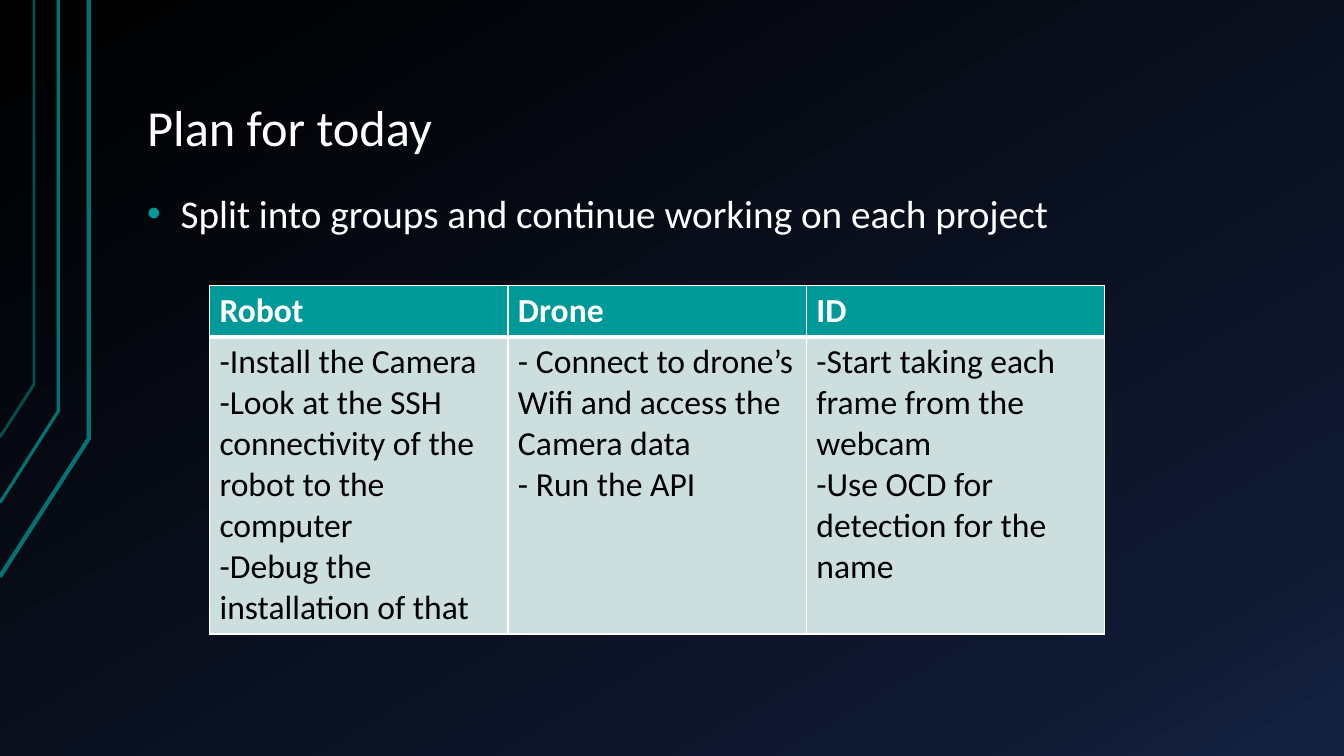
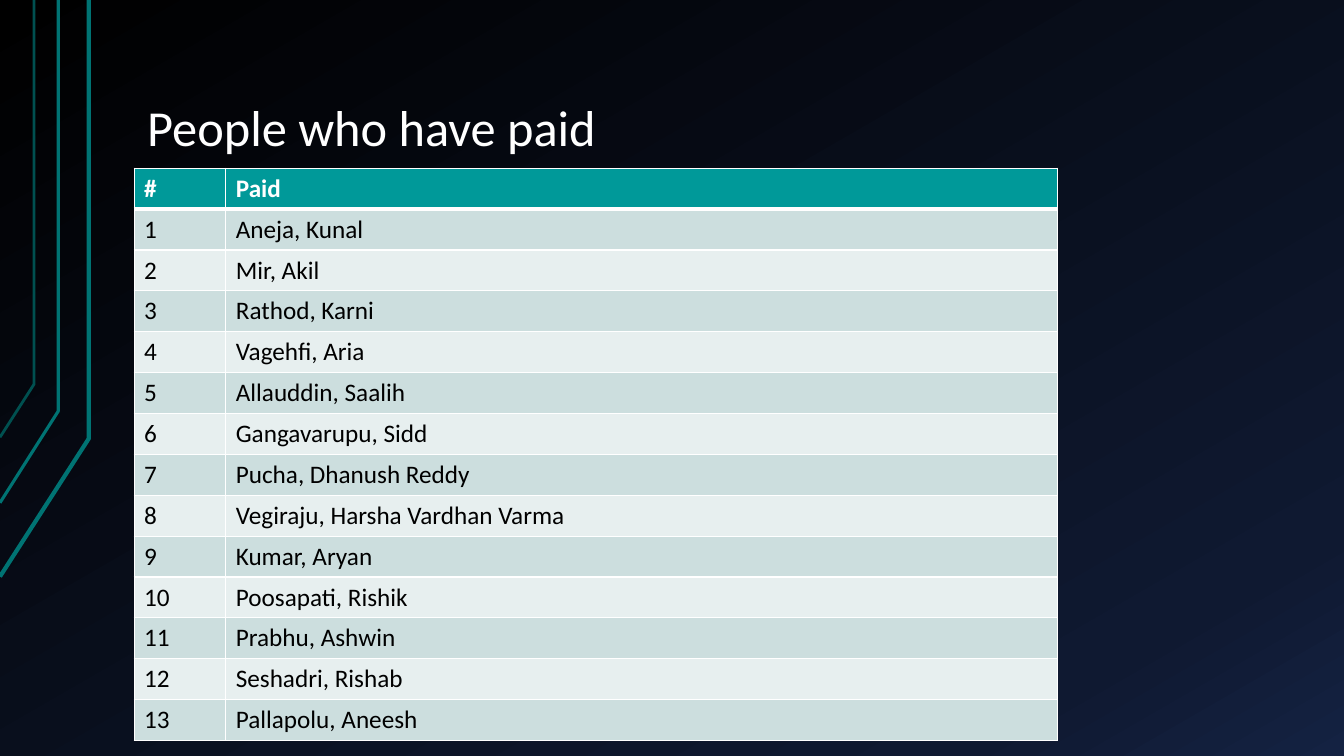
"""Build the club meeting slides: the plan for today and the paid list."""
from dataclasses import dataclass

from pptx import Presentation
from pptx.dml.color import RGBColor
from pptx.enum.text import MSO_ANCHOR, MSO_AUTO_SIZE, PP_ALIGN
from pptx.oxml import parse_xml
from pptx.oxml.ns import nsdecls, qn
from pptx.presentation import Presentation as Deck
from pptx.slide import Slide
from pptx.table import _Cell as Cell
from pptx.text.text import TextFrame
from pptx.util import Cm, Pt

BOTTOM, TOP = MSO_ANCHOR.BOTTOM, MSO_ANCHOR.TOP
NO_FIT = MSO_AUTO_SIZE.NONE
LEFT = PP_ALIGN.LEFT

WHITE = RGBColor(0xFF, 0xFF, 0xFF)
BLACK = RGBColor(0x00, 0x00, 0x00)
NAVY = RGBColor(0x0F, 0x19, 0x31)
BLUE = RGBColor(0x14, 0x22, 0x42)
TEAL = RGBColor(0x00, 0x99, 0x99)
DEEP = RGBColor(0x00, 0x73, 0x73)
DIM = RGBColor(0x00, 0x50, 0x50)
BANDS = (RGBColor(0xCC, 0xDE, 0xDE), RGBColor(0xE7, 0xEF, 0xEF))

FONT = "Calibri"
STOPS = ((0, BLACK), (85, NAVY), (100, BLUE))
ANGLE = 60


@dataclass(frozen=True)
class Stripe:
    """A bent line at the left edge, with lengths in centimetres."""
    x: float
    bend: float
    end: float
    width: float
    color: RGBColor


@dataclass(frozen=True)
class Grid:
    """A table with its place and column widths in centimetres."""
    left: float
    top: float
    cols: tuple[float, ...]
    heights: tuple[float, ...]
    size: int
    rows: list[tuple[str, ...]]


STRIPES = (
    Stripe(2.24, 11.05, 14.53, 3, DEEP),
    Stripe(1.47, 10.36, 12.67, 2.25, DEEP),
    Stripe(0.86, 9.68, 11.02, 2, DIM),
)

PLAN = Grid(5.28, 7.19, (7.52,) * 3, (1.3, 7.35), 24, [
    ("Robot", "Drone", "ID"),
    (
        "-Install the Camera\n"
        "-Look at the SSH connectivity of the robot to the computer\n"
        "-Debug the installation of that",
        "- Connect to drone’s Wifi and access the Camera data\n"
        "- Run the API",
        "-Start taking each frame from the webcam\n"
        "-Use OCD for detection for the name",
    ),
])

NAMES = (
    "Aneja, Kunal",
    "Mir, Akil",
    "Rathod, Karni",
    "Vagehfi, Aria",
    "Allauddin, Saalih",
    "Gangavarupu, Sidd",
    "Pucha, Dhanush Reddy",
    "Vegiraju, Harsha Vardhan Varma",
    "Kumar, Aryan",
    "Poosapati, Rishik",
    "Prabhu, Ashwin",
    "Seshadri, Rishab",
    "Pallapolu, Aneesh",
)
PAID = Grid(
    3.38, 4.24, (2.31, 20.96), (1.03,) * (len(NAMES) + 1), 18,
    [("#", "Paid")] + [(str(i), name) for i, name in enumerate(NAMES, 1)],
)


def paint(deck: Deck) -> None:
    """Give the slide master its dark gradient."""
    master = deck.slide_master
    master.background.fill.gradient()
    old = next(master.element.iter(qn("a:gradFill")))
    stops = "".join(
        f'<a:gs pos="{pos * 1000}"><a:srgbClr val="{color}"/></a:gs>'
        for pos, color in STOPS
    )
    new = parse_xml(
        f'<a:gradFill {nsdecls("a")} rotWithShape="1"><a:gsLst>{stops}</a:gsLst>'
        f'<a:lin ang="{ANGLE * 60000}" scaled="0"/></a:gradFill>'
    )
    old.getparent().replace(old, new)


def style(frame: TextFrame, size: int, color: RGBColor, bold: bool = False) -> None:
    """Format every run of a text frame."""
    for para in frame.paragraphs:
        para.alignment = LEFT
        for run in para.runs:
            run.font.name = FONT
            run.font.size = Pt(size)
            run.font.bold = bold
            run.font.color.rgb = color


def fit(frame: TextFrame, anchor: MSO_ANCHOR) -> None:
    """Set the wrap, insets, anchor and line spacing of a text frame."""
    frame.word_wrap = True
    frame.auto_size = NO_FIT
    frame.vertical_anchor = anchor
    frame.margin_left = frame.margin_right = Cm(0.33)
    frame.margin_top = frame.margin_bottom = Cm(0.18)
    for para in frame.paragraphs:
        para.line_spacing = 0.9


def add_stripe(slide: Slide, stripe: Stripe) -> None:
    """Draw one bent line."""
    pen = slide.shapes.build_freeform(Cm(0), Cm(stripe.end))
    x = Cm(stripe.x)
    pen.add_line_segments([(x, Cm(stripe.bend)), (x, Cm(0))], close=False)
    shape = pen.convert_to_shape()
    shape.shadow.inherit = False
    shape.fill.background()
    shape.line.color.rgb = stripe.color
    shape.line.width = Pt(stripe.width)


def add_page(deck: Deck, text: str) -> Slide:
    """Add a slide with its stripes and title."""
    slide = deck.slides.add_slide(deck.slide_layouts.get_by_name("Title Only"))
    for stripe in STRIPES:
        add_stripe(slide, stripe)
    title = slide.shapes.title
    title.left, title.top = Cm(3.38), Cm(0.76)
    title.width, title.height = Cm(28.78), Cm(3.4)
    title.text_frame.text = text
    fit(title.text_frame, BOTTOM)
    style(title.text_frame, 36, WHITE)
    return slide


def add_point(slide: Slide, text: str) -> None:
    """Add the bullet line below the title."""
    box = slide.shapes.add_textbox(Cm(3.38), Cm(4.72), Cm(28.78), Cm(12.4))
    frame = box.text_frame
    frame.text = text
    fit(frame, TOP)
    style(frame, 28, WHITE)
    props = frame.paragraphs[0]._p.get_or_add_pPr()
    props.set("marL", str(Cm(0.84)))
    props.set("indent", str(-Cm(0.84)))
    for part in (
        f'<a:buClr {nsdecls("a")}><a:srgbClr val="{TEAL}"/></a:buClr>',
        f'<a:buFont {nsdecls("a")} typeface="Arial"/>',
        f'<a:buChar {nsdecls("a")} char="•"/>',
    ):
        props.append(parse_xml(part))


def edge(cell: Cell, row: int) -> None:
    """Draw white cell borders, thick below the header row."""
    widths = {"L": 1, "R": 1, "T": 3 if row == 1 else 1, "B": 3 if row == 0 else 1}
    props = cell._tc.get_or_add_tcPr()
    for i, (side, width) in enumerate(widths.items()):
        props.insert(i, parse_xml(
            f'<a:ln{side} {nsdecls("a")} w="{Pt(width)}"><a:solidFill>'
            f'<a:srgbClr val="{WHITE}"/></a:solidFill></a:ln{side}>'
        ))


def add_grid(slide: Slide, grid: Grid) -> None:
    """Add a table with a teal header and banded rows."""
    table = slide.shapes.add_table(
        len(grid.rows), len(grid.cols), Cm(grid.left), Cm(grid.top),
        Cm(sum(grid.cols)), Cm(sum(grid.heights)),
    ).table
    table.horz_banding = False
    for col, width in zip(table.columns, grid.cols):
        col.width = Cm(width)
    for i, (row, texts) in enumerate(zip(table.rows, grid.rows)):
        row.height = Cm(grid.heights[i])
        head = i == 0
        for cell, text in zip(row.cells, texts):
            cell.text_frame.text = text
            style(cell.text_frame, grid.size, WHITE if head else BLACK, head)
            cell.fill.solid()
            cell.fill.fore_color.rgb = TEAL if head else BANDS[(i - 1) % 2]
            edge(cell, i)


def main() -> None:
    """Build and save the deck."""
    deck = Presentation()
    deck.slide_width, deck.slide_height = Cm(33.87), Cm(19.05)
    paint(deck)
    plan = add_page(deck, "Plan for today")
    add_point(plan, "Split into groups and continue working on each project")
    add_grid(plan, PLAN)
    add_grid(add_page(deck, "People who have paid"), PAID)
    deck.save("out.pptx")


if __name__ == "__main__":
    main()
